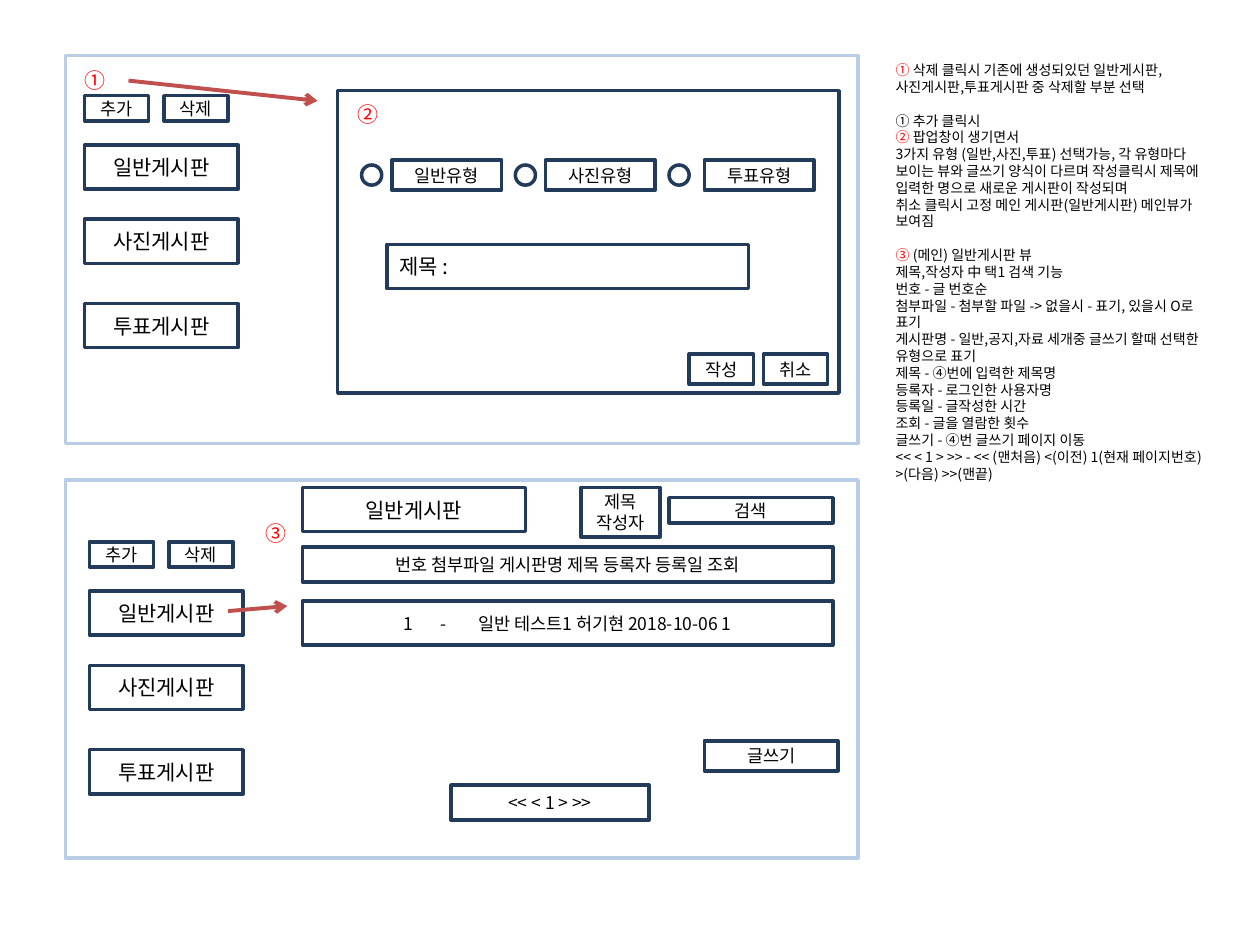
from pptx import Presentation
from pptx.dml.color import RGBColor
from pptx.enum.shapes import MSO_CONNECTOR, MSO_SHAPE
from pptx.enum.text import MSO_ANCHOR, PP_ALIGN
from pptx.oxml.ns import qn
from pptx.util import Inches, Pt
from lxml.etree import SubElement

FONT = "Noto Sans CJK KR"
LEADING = 1.2
COLORS = {"panel": "B9CDE5", "outline": "223B5A", "arrow": "C0504D",
          "mark": "FF0000", "text": "000000", "white": "FFFFFF"}

# Each group is a block of the description; a paragraph is (mark, text)
NOTES = [
    [("①", " 삭제 클릭시 기존에 생성되있던 일반게시판,사진게시판,투표게시판 중 삭제할 부분 선택")],
    [("", "① 추가 클릭시"),
     ("②", " 팝업창이 생기면서"),
     ("", "3가지 유형 (일반,사진,투표) 선택가능, 각 유형마다 보이는 뷰와 글쓰기 양식이 다르며 "
          "작성클릭시 제목에 입력한 명으로 새로운 게시판이 작성되며"),
     ("", "취소 클릭시 고정 메인 게시판(일반게시판) 메인뷰가 보여짐")],
    [("③ ", "(메인) 일반게시판 뷰"),
     ("", "제목,작성자 中 택1 검색 기능"),
     ("", "번호 - 글 번호순"),
     ("", "첨부파일 - 첨부할 파일 -> 없을시 - 표기, 있을시 O로 표기"),
     ("", "게시판명 - 일반,공지,자료 세개중 글쓰기 할때 선택한 유형으로 표기"),
     ("", "제목 - ④번에 입력한 제목명"),
     ("", "등록자 - 로그인한 사용자명"),
     ("", "등록일 - 글작성한 시간"),
     ("", "조회 - 글을 열람한 횟수"),
     ("", "글쓰기 - ④번 글쓰기 페이지 이동"),
     ("", "<< < 1 > >> - << (맨처음) <(이전) 1(현재 페이지번호) >(다음) >>(맨끝)")],
]


def color(name):
    return RGBColor.from_string(COLORS[name])


def add_run(paragraph, text, size, color_name="text"):
    run = paragraph.add_run()
    run.text = text
    run.font.size = Pt(size)
    run.font.name = FONT
    run.font.color.rgb = color(color_name)
    SubElement(run.font._element, qn("a:ea"), typeface=FONT)
    paragraph.line_spacing = Pt(size * LEADING)


def next_paragraph(frame, first):
    return frame.paragraphs[0] if first else frame.add_paragraph()


def add_shape(slide, box, kind=MSO_SHAPE.RECTANGLE, line="outline", fill="white"):
    shape = slide.shapes.add_shape(kind, *map(Inches, box))
    shape.shadow.inherit = False
    shape.line.color.rgb = color(line)
    shape.line.width = Pt(2)
    if fill:
        shape.fill.solid()
        shape.fill.fore_color.rgb = color(fill)
    else:
        shape.fill.background()
    return shape


def add_box(slide, box, *lines, size=10, align=PP_ALIGN.CENTER, tabs=()):
    frame = add_shape(slide, box).text_frame
    frame.word_wrap = True
    frame.vertical_anchor = MSO_ANCHOR.MIDDLE
    for index, text in enumerate(lines):
        paragraph = next_paragraph(frame, index == 0)
        paragraph.alignment = align
        if tabs:
            tab_list = SubElement(paragraph._p.get_or_add_pPr(), qn("a:tabLst"))
            for stop in tabs:
                SubElement(tab_list, qn("a:tab"), pos=str(Inches(stop)), algn="l")
        add_run(paragraph, text, size)


def add_mark(slide, left, top, text):
    frame = slide.shapes.add_textbox(*map(Inches, (left, top, 0.36, 0.3))).text_frame
    frame.word_wrap = False
    add_run(frame.paragraphs[0], text, 12, "mark")


def add_arrow(slide, *ends):
    arrow = slide.shapes.add_connector(MSO_CONNECTOR.STRAIGHT, *map(Inches, ends))
    arrow.line.color.rgb = color("arrow")
    arrow.line.width = Pt(2.25)
    SubElement(arrow.line._get_or_add_ln(), qn("a:tailEnd"), type="arrow")
    SubElement(arrow._element.spPr, qn("a:effectLst"))


def add_sidebar(slide, left, top):
    for index, label in enumerate(("추가", "삭제")):
        add_box(slide, (left + 0.63 * index, top, 0.51, 0.2), label)
    for offset, label in ((0.39, "일반게시판"), (0.98, "사진게시판"), (1.65, "투표게시판")):
        add_box(slide, (left, top + offset, 1.22, 0.35), label, size=12)


def add_popup(slide):
    add_shape(slide, (2.68, 0.72, 3.98, 2.4))
    # Type choices
    choices = ((3.11, "일반유형"), (4.33, "사진유형"), (5.59, "투표유형"))
    for index, (left, label) in enumerate(choices):
        add_shape(slide, (2.87 + 1.22 * index, 1.31, 0.16, 0.16), MSO_SHAPE.OVAL)
        add_box(slide, (left, 1.27, 0.87, 0.24), label)
    add_box(slide, (3.07, 1.94, 2.87, 0.35), "제목 :", size=12, align=PP_ALIGN.LEFT)
    for left, label in ((5.47, "작성"), (6.06, "취소")):
        add_box(slide, (left, 2.81, 0.51, 0.24), label)
    add_mark(slide, 2.74, 0.76, "②")


def add_board(slide):
    # Heading and search
    add_box(slide, (2.4, 3.87, 1.77, 0.35), "일반게시판", size=12)
    add_box(slide, (4.61, 3.87, 0.63, 0.39), "제목", "작성자")
    add_box(slide, (5.31, 3.95, 1.3, 0.2), "검색")
    # Post list
    add_box(slide, (2.4, 4.34, 4.21, 0.28), "번호 첨부파일 게시판명 제목 등록자 등록일 조회")
    add_box(slide, (2.4, 4.77, 4.21, 0.35), "\t1\t-\t일반 테스트1 허기현 2018-10-06 1",
            align=PP_ALIGN.LEFT, tabs=(0.7, 1, 1.3))
    # Write button and pager
    add_box(slide, (5.59, 5.88, 1.06, 0.24), "글쓰기")
    add_box(slide, (3.58, 6.23, 1.57, 0.28), "<< < 1 > >>")


def add_notes_column(slide):
    size = 8
    frame = slide.shapes.add_textbox(*map(Inches, (7.01, 0.44, 2.76, 3.7))).text_frame
    frame.word_wrap = True
    for group_index, group in enumerate(NOTES):
        for index, (mark, text) in enumerate(group):
            paragraph = next_paragraph(frame, group_index == index == 0)
            if mark:
                add_run(paragraph, mark, size, "mark")
            add_run(paragraph, text, size)
            if group_index and index == 0:
                paragraph.space_before = Pt(size * LEADING)


def main():
    presentation = Presentation()
    presentation.slide_width, presentation.slide_height = Inches(10), Inches(7.5)
    slide = presentation.slides.add_slide(presentation.slide_layouts[6])

    # Screen frames
    for top, height in ((3.81, 3), (0.44, 3.08)):
        add_shape(slide, (0.52, top, 6.29, height), line="panel", fill=None)

    # Upper screen: board creation
    add_sidebar(slide, 0.67, 0.76)
    add_mark(slide, 0.57, 0.49, "①")
    add_arrow(slide, 1.02, 0.64, 2.52, 0.8)
    add_popup(slide)

    # Lower screen: main board
    add_sidebar(slide, 0.71, 4.3)
    add_arrow(slide, 1.81, 4.85, 2.28, 4.81)
    add_mark(slide, 2.01, 4.08, "③")
    add_board(slide)

    add_notes_column(slide)
    presentation.save("out.pptx")


if __name__ == "__main__":
    main()
